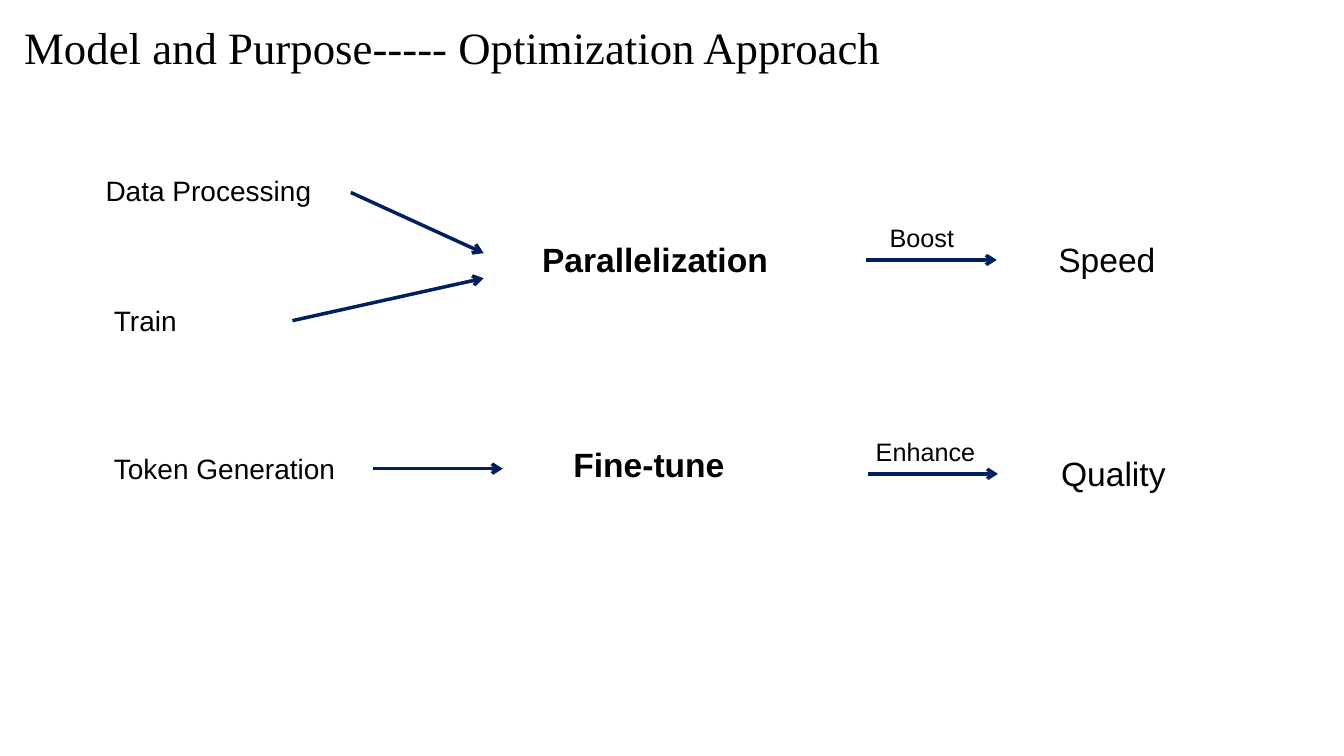
from lxml.etree import SubElement
from pptx import Presentation
from pptx.dml.color import RGBColor
from pptx.enum.shapes import MSO_CONNECTOR
from pptx.enum.text import MSO_AUTO_SIZE
from pptx.oxml.ns import qn
from pptx.util import Cm, Pt

BLACK = RGBColor(0x00, 0x00, 0x00)
NAVY = RGBColor(0x00, 0x20, 0x60)

# Box height in cm for each text size
HIGH = {32: 1.63, 24: 1.27, 20: 1.12, 18: 1.02}


class Board:
    def __init__(self, slide, font="Arial", ink=BLACK, line=NAVY):
        self.slide = slide
        self.font = font
        self.ink = ink
        self.line = line

    def label(self, text, x, y, wide, size, bold=False, font=None):
        box = self.slide.shapes.add_textbox(Cm(x), Cm(y), Cm(wide), Cm(HIGH[size]))
        frame = box.text_frame
        frame.word_wrap = True
        frame.auto_size = MSO_AUTO_SIZE.SHAPE_TO_FIT_TEXT
        run = frame.paragraphs[0].add_run()
        run.text = text
        run.font.name = font or self.font
        run.font.size = Pt(size)
        run.font.bold = bold
        run.font.color.rgb = self.ink

    def arrow(self, x1, y1, x2, y2):
        link = self.slide.shapes.add_connector(
            MSO_CONNECTOR.STRAIGHT, Cm(x1), Cm(y1), Cm(x2), Cm(y2))
        link.line.color.rgb = self.line
        link.line.width = Pt(2.5)
        props = link.element.spPr
        SubElement(props.find(qn("a:ln")), qn("a:tailEnd"), type="arrow")
        SubElement(props, qn("a:effectLst"))


def main():
    deck = Presentation()
    deck.slide_width, deck.slide_height = Cm(33.87), Cm(19.05)
    board = Board(deck.slides.add_slide(deck.slide_layouts[6]))

    # Title
    board.label("Model and Purpose----- Optimization Approach",
                0.36, 0.36, 24.79, 32, font="Times New Roman")

    # Stages
    for text, x, y, wide in [("Data Processing", 2.41, 4.24, 9.27),
                             ("Train", 2.62, 7.52, 5.36),
                             ("Token Generation", 2.62, 11.25, 8.89)]:
        board.label(text, x, y, wide, 20)

    # Methods
    board.label("Parallelization", 13.41, 5.89, 10.77, 24, bold=True)
    board.label("Fine-tune", 14.2, 11.07, 7.82, 24, bold=True)

    # Goals
    board.label("Speed", 26.42, 5.89, 7.11, 24)
    board.label("Quality", 26.49, 11.3, 4.78, 24)

    # Arrows from stage to method, then from method to goal
    for ends in [(8.84, 4.85, 12.19, 6.38),
                 (7.37, 8.08, 12.19, 7.01),
                 (9.4, 11.81, 12.67, 11.81),
                 (21.82, 6.55, 25.12, 6.55),
                 (21.87, 11.94, 25.15, 11.94)]:
        board.arrow(*ends)

    # Effects above the goal arrows
    board.label("Boost", 22.17, 5.49, 2.31, 18)
    board.label("Enhance", 21.82, 10.87, 4.98, 18)

    deck.save("out.pptx")


if __name__ == "__main__":
    main()
